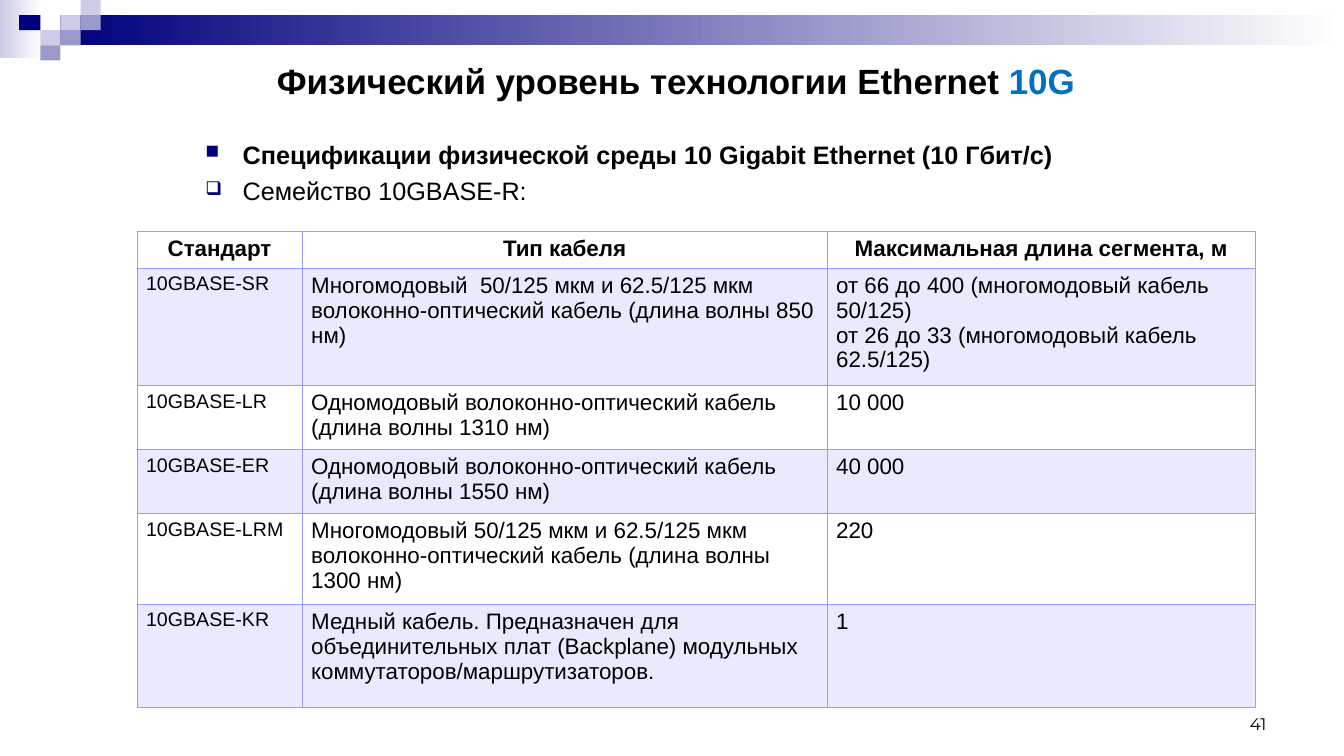
from lxml import etree
from pptx import Presentation
from pptx import util as u
from pptx.dml.color import RGBColor
from pptx.enum import shapes, text
from pptx.oxml import ns

PX = 9144
NAVY = RGBColor(0x00, 0x00, 0x7D)
PALE = RGBColor(0xCC, 0xCC, 0xE6)
MID = RGBColor(0x99, 0x99, 0xCC)
LILAC = RGBColor(0x99, 0x99, 0xFF)
BLUE = RGBColor(0x00, 0x70, 0xC0)
BLACK = RGBColor(0x00, 0x00, 0x00)
WHITE = RGBColor(0xFF, 0xFF, 0xFF)


def write(para, content, size=16, bold=False, color=BLACK, font="Arial", align=text.PP_ALIGN.LEFT):
    para.alignment = align
    span = para.add_run()
    span.text = content
    span.font.name = font
    span.font.size = u.Pt(size)
    span.font.bold = bold
    span.font.color.rgb = color


def add_box(left, top, width, height, anchor):
    box = page.shapes.add_textbox(left * PX, top * PX, width * PX, height * PX)
    box.text_frame.word_wrap = True
    box.text_frame.vertical_anchor = anchor
    return box.text_frame


deck = Presentation()
deck.slide_width = 1334 * PX
deck.slide_height = 750 * PX
page = deck.slides.add_slide(deck.slide_layouts[6])

header_shapes = [
    (0, 0, 42, 58, (PALE, WHITE)),
    (60, 15, 1273, 30, (NAVY, WHITE)),
    (60, 15, 20, 15, (PALE,)),
    (80, 0, 20, 15, (PALE,)),
    (80, 15, 20, 15, (MID,)),
    (40, 30, 20, 15, (PALE,)),
    (19, 15, 21, 15, (NAVY,)),
    (60, 30, 20, 15, (MID,)),
    (40, 45, 20, 15, (MID,)),
]
for left, top, width, height, colors in header_shapes:
    block = page.shapes.add_shape(
        shapes.MSO_SHAPE.RECTANGLE, left * PX, top * PX, width * PX, height * PX)
    block.shadow.inherit = False
    block.line.fill.background()
    if len(colors) == 1:
        block.fill.solid()
        block.fill.fore_color.rgb = colors[0]
    else:
        block.fill.gradient()
        block.fill.gradient_angle = 0
        for stop, color in zip(block.fill.gradient_stops, colors):
            stop.color.rgb = color

title = add_box(265, 52, 852, 56, text.MSO_ANCHOR.MIDDLE).paragraphs[0]
write(title, "Физический уровень технологии Ethernet ", size=25, bold=True)
write(title, "10G", size=25, bold=True, color=BLUE)

intro = add_box(194, 133, 941, 100, text.MSO_ANCHOR.TOP)
bullets = [
    ("■", "Спецификации физической среды 10 Gigabit Ethernet (10 Гбит/с)", True),
    ("❑", "Семейство 10GBASE-R:", False),
]
for index, (mark, content, bold) in enumerate(bullets):
    para = intro.add_paragraph() if index else intro.paragraphs[0]
    props = para._p.get_or_add_pPr()
    props.set("marL", str(37 * PX))
    props.set("indent", str(-37 * PX))
    tint = etree.SubElement(props, ns.qn("a:buClr"))
    etree.SubElement(tint, ns.qn("a:srgbClr"), val=str(NAVY))
    etree.SubElement(props, ns.qn("a:buSzPct"), val="75000")
    etree.SubElement(props, ns.qn("a:buChar"), char=mark)
    if index:
        para.space_before = u.Pt(4.5)
    write(para, content, size=18, bold=bold, align=text.PP_ALIGN.JUSTIFY)

rows = [
    ("Стандарт", "Тип кабеля", "Максимальная длина сегмента, м"),
    ("10GBASE-SR",
     "Многомодовый  50/125 мкм и 62.5/125 мкм волоконно-оптический кабель (длина волны 850 нм)",
     "от 66 до 400 (многомодовый кабель 50/125)\nот 26 до 33 (многомодовый кабель 62.5/125)"),
    ("10GBASE-LR", "Одномодовый волоконно-оптический кабель (длина волны 1310 нм)", "10 000"),
    ("10GBASE-ER", "Одномодовый волоконно-оптический кабель (длина волны 1550 нм)", "40 000"),
    ("10GBASE-LRM",
     "Многомодовый 50/125 мкм и 62.5/125 мкм волоконно-оптический кабель (длина волны 1300 нм)",
     "220"),
    ("10GBASE-KR",
     "Медный кабель. Предназначен для объединительных плат (Backplane) модульных "
     "коммутаторов/маршрутизаторов.",
     "1"),
]
widths = [164, 521, 425]
heights = [37, 116, 62, 62, 89, 102]
table = page.shapes.add_table(
    len(rows), len(widths), 136 * PX, 229 * PX, sum(widths) * PX, sum(heights) * PX).table
table.first_row = False
table.horz_banding = False
for column, width in zip(table.columns, widths):
    column.width = width * PX
for line, height in zip(table.rows, heights):
    line.height = height * PX

for r, row in enumerate(rows):
    for c, content in enumerate(row):
        cell = table.cell(r, c)
        cell.margin_left = cell.margin_right = 9 * PX
        cell.margin_top = cell.margin_bottom = 5 * PX
        props = cell._tc.get_or_add_tcPr()
        for side in ("lnL", "lnR", "lnT", "lnB"):
            heavy = (r, side) in ((0, "lnB"), (1, "lnT"))
            border = etree.SubElement(props, ns.qn("a:" + side), w=str(u.Pt(0.96 if heavy else 0.45)))
            paint = etree.SubElement(border, ns.qn("a:solidFill"))
            etree.SubElement(paint, ns.qn("a:srgbClr"), val=str(LILAC))
        if r % 2:
            cell.fill.solid()
            cell.fill.fore_color.rgb = LILAC
            shade = props.find(ns.qn("a:solidFill")).find(ns.qn("a:srgbClr"))
            etree.SubElement(shade, ns.qn("a:alpha"), val="20000")
        else:
            cell.fill.background()
        for index, sentence in enumerate(content.split("\n")):
            para = cell.text_frame.add_paragraph() if index else cell.text_frame.paragraphs[0]
            write(para, sentence, size=14 if r and c == 0 else 16, bold=r == 0,
                  align=text.PP_ALIGN.LEFT if r else text.PP_ALIGN.CENTER)

number = add_box(956, 683, 311, 50, text.MSO_ANCHOR.BOTTOM).paragraphs[0]
write(number, "41", size=12, font="Montserrat", align=text.PP_ALIGN.RIGHT)

deck.save("out.pptx")
